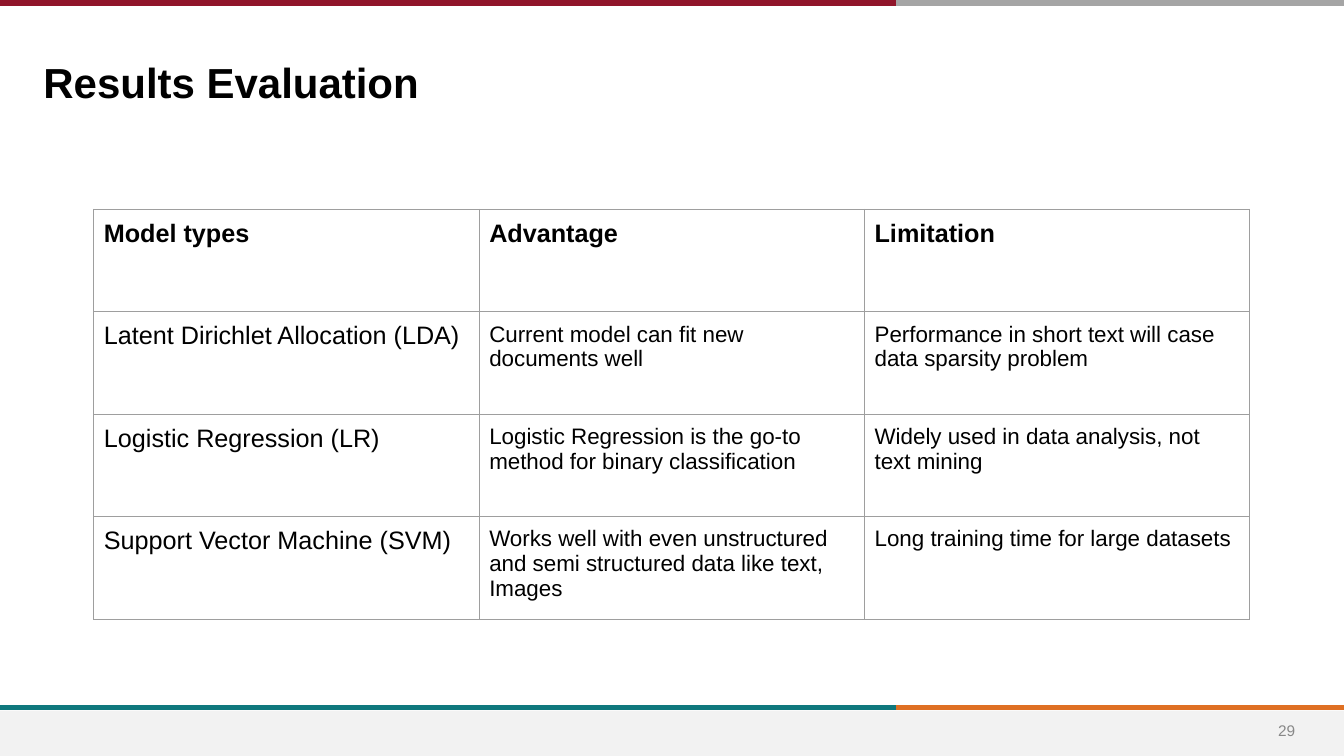
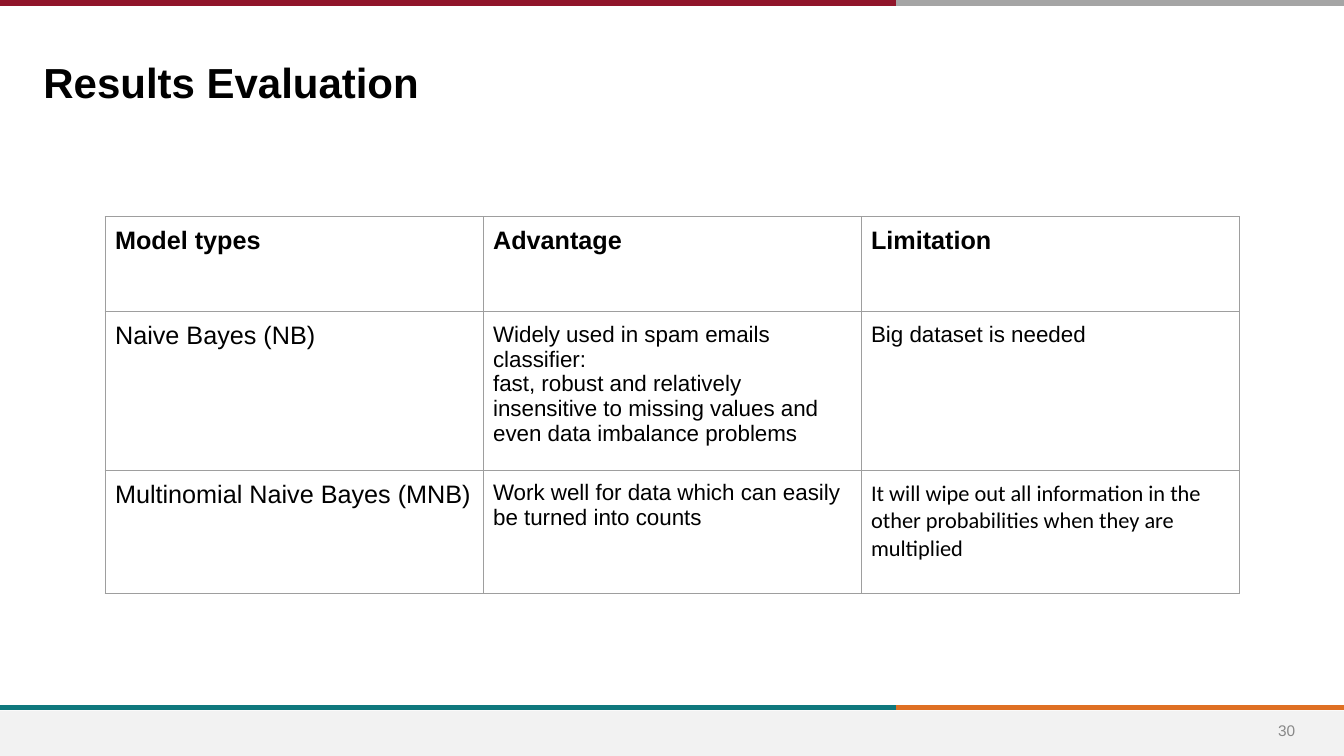
from dataclasses import dataclass

import lxml.etree
import pptx
import pptx.dml.color
import pptx.enum.shapes
import pptx.enum.text
import pptx.oxml.ns
import pptx.presentation
import pptx.slide
import pptx.table
import pptx.text.text
import pptx.util

Pt = pptx.util.Pt
RGBColor = pptx.dml.color.RGBColor
qn = pptx.oxml.ns.qn

# Shared look
BLACK = RGBColor(0x00, 0x00, 0x00)
RED = RGBColor(0x90, 0x15, 0x2A)
GREY = RGBColor(0xA5, 0xA5, 0xA5)
TEAL = RGBColor(0x0F, 0x78, 0x7D)
ORANGE = RGBColor(0xDF, 0x70, 0x23)
FOOTER_FILL = RGBColor(0xF2, 0xF2, 0xF2)
NUMBER_GREY = RGBColor(0x88, 0x88, 0x88)
BORDER_GREY = RGBColor(0x9E, 0x9E, 0x9E)

FONT = "Arial"
WIDTH, HEIGHT = 960, 540
SPLIT = 640
FOOTER_TOP = 507.6
INSET = 7.2
BORDER_WIDTH = 0.75
HEADINGS = ("Model types", "Advantage", "Limitation")


@dataclass(frozen=True)
class Stripe:
    start: float
    end: float
    y: float
    color: RGBColor


@dataclass(frozen=True)
class Model:
    name: str
    advantage: str
    limitation: str
    limitation_font: str = FONT


@dataclass(frozen=True)
class Evaluation:
    number: int
    left: float
    top: float
    column_width: float
    row_heights: tuple[float, ...]
    models: tuple[Model, ...]


STRIPES = (
    Stripe(SPLIT, WIDTH, 505.5, ORANGE),
    Stripe(0, SPLIT, 505.5, TEAL),
    Stripe(SPLIT, WIDTH, 2, GREY),
    Stripe(0, SPLIT, 2, RED),
)

EVALUATIONS = (
    Evaluation(29, 67, 149.5, 275.3, (73.2,) * 4, (
        Model("Latent Dirichlet Allocation (LDA)",
              "Current model can fit new documents well",
              "Performance in short text will case data sparsity problem"),
        Model("Logistic Regression (LR)",
              "Logistic Regression is the go-to method for binary classification",
              "Widely used in data analysis, not text mining"),
        Model("Support Vector Machine (SVM)",
              "Works well with even unstructured and semi structured data "
              "like text, Images",
              "Long training time for large datasets"),
    )),
    Evaluation(30, 75, 154.8, 270, (68, 113, 88), (
        Model("Naive Bayes (NB)",
              "Widely used in spam emails classifier:\n"
              "fast, robust and relatively insensitive to missing values "
              "and even data imbalance problems",
              "Big dataset is needed"),
        Model("Multinomial Naive Bayes (MNB)",
              "Work well for data which can easily be turned into counts",
              "It will wipe out all information in the other probabilities "
              "when they are multiplied",
              "Calibri"),
    )),
)


def write(frame: pptx.text.text.TextFrame, text: str, size: float,
          color: RGBColor = BLACK, bold: bool = False, font: str = FONT,
          align: pptx.enum.text.PP_ALIGN = pptx.enum.text.PP_ALIGN.LEFT) -> None:
    """Fill a text frame, one paragraph per line of text."""
    for index, line in enumerate(text.split("\n")):
        paragraph = frame.add_paragraph() if index else frame.paragraphs[0]
        paragraph.alignment = align
        run = paragraph.add_run()
        run.text = line
        run.font.name = font
        run.font.size = Pt(size)
        run.font.bold = bold
        run.font.color.rgb = color


def add_bands(slide: pptx.slide.Slide) -> None:
    footer = slide.shapes.add_shape(
        pptx.enum.shapes.MSO_SHAPE.RECTANGLE,
        Pt(0), Pt(FOOTER_TOP), Pt(WIDTH), Pt(HEIGHT - FOOTER_TOP))
    footer.shadow.inherit = False
    footer.fill.solid()
    footer.fill.fore_color.rgb = FOOTER_FILL
    footer.line.fill.background()
    for stripe in STRIPES:
        line = slide.shapes.add_connector(
            pptx.enum.shapes.MSO_CONNECTOR.STRAIGHT,
            Pt(stripe.start), Pt(stripe.y), Pt(stripe.end), Pt(stripe.y))
        line.line.color.rgb = stripe.color
        line.line.width = Pt(4)
        properties = line._element.find(qn("p:spPr"))
        lxml.etree.SubElement(properties, qn("a:effectLst"))


def add_number(slide: pptx.slide.Slide, number: int) -> None:
    frame = slide.shapes.add_textbox(
        Pt(894.2), Pt(FOOTER_TOP), Pt(49.7), Pt(28.8)).text_frame
    frame.word_wrap = True
    frame.vertical_anchor = pptx.enum.text.MSO_ANCHOR.MIDDLE
    write(frame, str(number), 11, NUMBER_GREY,
          align=pptx.enum.text.PP_ALIGN.CENTER)


def set_title(slide: pptx.slide.Slide, text: str) -> None:
    title = slide.shapes.title
    title.left, title.top = Pt(23.8), Pt(33.1)
    title.width, title.height = Pt(766.8), Pt(42.5)
    frame = title.text_frame
    frame.auto_size = pptx.enum.text.MSO_AUTO_SIZE.NONE
    frame.vertical_anchor = pptx.enum.text.MSO_ANCHOR.TOP
    frame.margin_left = frame.margin_right = Pt(INSET)
    frame.margin_top = frame.margin_bottom = Pt(INSET)
    write(frame, text, 30, bold=True)


def style_cell(cell: pptx.table._Cell) -> None:
    """Give a cell its insets, thin borders and no fill."""
    cell.margin_left = cell.margin_right = Pt(INSET)
    cell.margin_top = cell.margin_bottom = Pt(INSET)
    properties = cell._tc.get_or_add_tcPr()
    for side in ("a:lnL", "a:lnR", "a:lnT", "a:lnB"):
        border = lxml.etree.SubElement(
            properties, qn(side), w=str(int(Pt(BORDER_WIDTH))))
        fill = lxml.etree.SubElement(border, qn("a:solidFill"))
        lxml.etree.SubElement(fill, qn("a:srgbClr"), val=str(BORDER_GREY))
    cell.fill.background()


def add_table(slide: pptx.slide.Slide, evaluation: Evaluation) -> None:
    heights = evaluation.row_heights
    table = slide.shapes.add_table(
        len(heights), len(HEADINGS), Pt(evaluation.left), Pt(evaluation.top),
        Pt(evaluation.column_width * len(HEADINGS)), Pt(sum(heights))).table
    table.first_row = table.horz_banding = False
    for column in table.columns:
        column.width = Pt(evaluation.column_width)
    for row, height in zip(table.rows, heights):
        row.height = Pt(height)
    for cell in table.iter_cells():
        style_cell(cell)

    for column, heading in enumerate(HEADINGS):
        write(table.cell(0, column).text_frame, heading, 18, bold=True)
    for row, model in enumerate(evaluation.models, start=1):
        write(table.cell(row, 0).text_frame, model.name, 18)
        write(table.cell(row, 1).text_frame, model.advantage, 16)
        write(table.cell(row, 2).text_frame, model.limitation, 16,
              font=model.limitation_font)


def add_evaluation(deck: pptx.presentation.Presentation,
                   evaluation: Evaluation) -> None:
    slide = deck.slides.add_slide(deck.slide_layouts.get_by_name("Title Only"))
    add_bands(slide)
    add_number(slide, evaluation.number)
    set_title(slide, "Results Evaluation")
    add_table(slide, evaluation)


def main() -> None:
    deck = pptx.Presentation()
    deck.slide_width, deck.slide_height = Pt(WIDTH), Pt(HEIGHT)
    for evaluation in EVALUATIONS:
        add_evaluation(deck, evaluation)
    deck.save("out.pptx")


if __name__ == "__main__":
    main()
